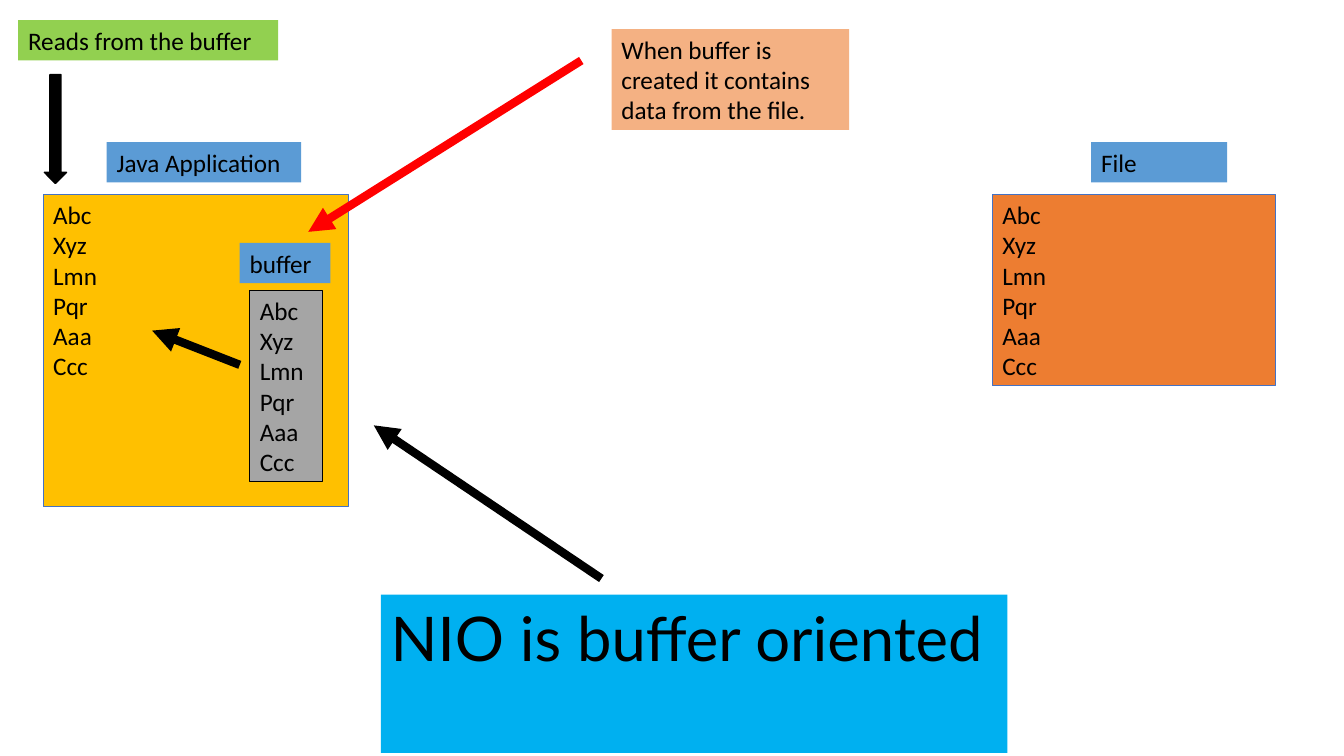
from lxml import etree
from pptx import Presentation
from pptx.dml.color import RGBColor
from pptx.enum.shapes import MSO_CONNECTOR, MSO_SHAPE
from pptx.enum.text import MSO_ANCHOR, PP_ALIGN
from pptx.oxml.ns import qn
from pptx.util import Inches, Pt

RECT, DOWN_ARROW = MSO_SHAPE.RECTANGLE, MSO_SHAPE.DOWN_ARROW
STRAIGHT = MSO_CONNECTOR.STRAIGHT
LEFT, TOP = PP_ALIGN.LEFT, MSO_ANCHOR.TOP

COLORS = {
    "black": "000000",
    "red": "FF0000",
    "file": "ED7D31",
    "application": "FFC000",
    "buffer": "A5A5A5",
    "label": "5B9BD5",
    "reader": "92D050",
    "note": "F4B183",
    "headline": "00B0F0",
    "outline": "4472C4",
}
DATA = "Abc\nXyz\nLmn\nPqr\nAaa\nCcc"

prs = Presentation()
prs.slide_width, prs.slide_height = Inches(13.34), Inches(7.5)
slide = prs.slides.add_slide(prs.slide_layouts[6])


def rgb(name):
    return RGBColor.from_string(COLORS[name])


def add_box(text, at, *, fill, line=None, width=0.75, size=18, font="Calibri", shape=RECT):
    """Add a filled shape; each line of the text becomes a paragraph."""
    sp = slide.shapes.add_shape(shape, *map(Inches, at))
    sp.shadow.inherit = False
    sp.fill.solid()
    sp.fill.fore_color.rgb = rgb(fill)
    if line:
        sp.line.color.rgb = rgb(line)
        sp.line.width = Pt(width)
    else:
        sp.line.fill.background()
    tf = sp.text_frame
    tf.word_wrap = True
    tf.vertical_anchor = TOP
    tf.text = text
    for p in tf.paragraphs:
        p.alignment = LEFT
        for r in p.runs:
            r.font.size = Pt(size)
            r.font.name = font
            r.font.color.rgb = rgb("black")


# File and Java application, with the buffer inside the application
add_box(DATA, (9.85, 1.93, 2.81, 1.9), fill="file", line="outline")
add_box("File", (10.83, 1.41, 1.35, 0.4), fill="label")
add_box(DATA, (0.43, 1.93, 3.03, 3.1), fill="application", line="outline")
add_box("Java Application", (1.06, 1.41, 1.93, 0.4), fill="label")
add_box(DATA, (2.48, 2.88, 0.72, 1.9), fill="buffer", line="black")
add_box("buffer", (2.38, 2.41, 0.9, 0.4), fill="label")

# Explanations
add_box("Reads from the buffer", (0.18, 0.2, 2.58, 0.4), fill="reader")
add_box("", (0.44, 0.74, 0.22, 1.08), fill="black", line="black", width=1, shape=DOWN_ARROW)
add_box("When buffer is created it contains data from the file.",
        (6.07, 0.29, 2.36, 1), fill="note")
add_box("NIO is buffer oriented", (3.78, 5.9, 6.22, 1.57),
        fill="headline", size=44, font="Lato")

# Arrows: from the buffer, from the note, from the headline
arrows = [
    ((2.38, 3.62, 1.51, 3.28), "black"),
    ((5.77, 0.6, 3.06, 2.3), "red"),
    ((5.97, 5.74, 3.71, 4.22), "black"),
]
for ends, color in arrows:
    arrow = slide.shapes.add_connector(STRAIGHT, *map(Inches, ends))
    arrow.line.color.rgb = rgb(color)
    arrow.line.width = Pt(6)
    etree.SubElement(arrow.line._get_or_add_ln(), qn("a:tailEnd"), type="triangle")
    etree.SubElement(arrow._element.spPr, qn("a:effectLst"))

prs.save("out.pptx")
